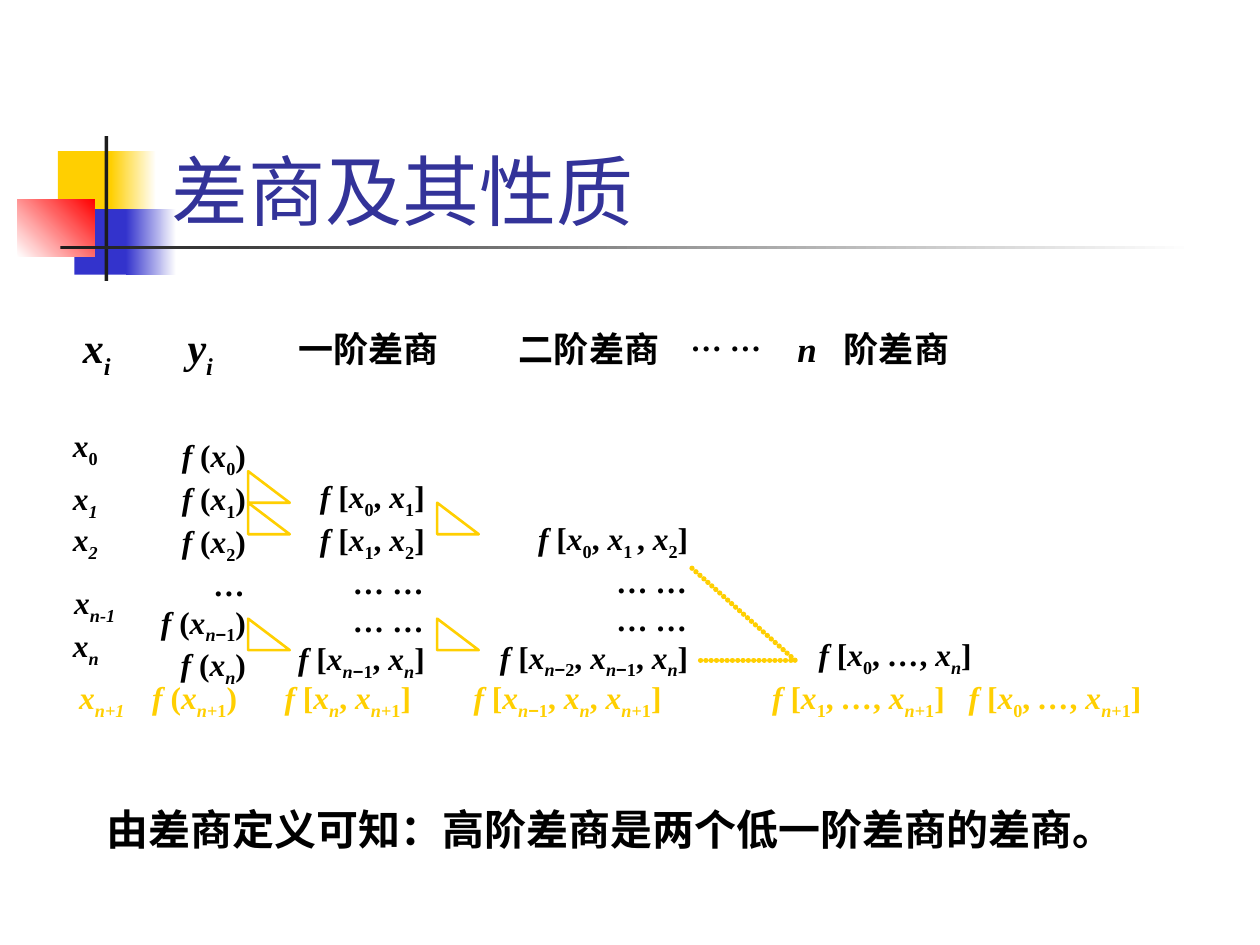
from pptx import Presentation
from pptx.dml.color import RGBColor
from pptx.enum.shapes import MSO_CONNECTOR, MSO_SHAPE
from pptx.enum.text import MSO_ANCHOR, PP_ALIGN
from pptx.oxml.ns import qn
from pptx.util import Inches, Pt
from lxml import etree

RECT, TRIANGLE = MSO_SHAPE.RECTANGLE, MSO_SHAPE.RIGHT_TRIANGLE
LEFT, RIGHT = PP_ALIGN.LEFT, PP_ALIGN.RIGHT
COLORS = {"yellow": "FFCF01", "blue": "3333CC", "red": "FF0000", "dark": "1C1C1C",
          "white": "FFFFFF", "black": "000000", "title": "333399"}
SERIF, SANS, CJK, TITLE_FONT = "Times New Roman", "Arial", "Noto Sans CJK SC", "Karla"

# Content: underscores enclose subscripts, tabs separate columns
TITLE = "差商及其性质"
STATEMENT = "由差商定义可知：高阶差商是两个低一阶差商的差商。"

# text, left, top, width, size
HEADERS = [
    ("x_i_", 0.56, 2.5, 0.6, 24),
    ("y_i_", 1.39, 2.5, 0.6, 24),
    ("一阶差商", 2.27, 2.55, 1.48, 20),
    ("二阶差商", 4.02, 2.55, 1.48, 20),
    ("… …", 5.39, 2.49, 0.8, 18),
]
ORDER_N, ORDER_N_TABS = "n\t阶差商", [0.37]

# text, left, top, slanted digits
NODES = [
    ("x_0_", 0.48, 3.33, False),
    ("x_1_", 0.48, 3.75, True),
    ("x_2_", 0.48, 4.08, True),
    ("x_n-1_", 0.49, 4.58, True),
    ("x_n_", 0.48, 4.92, True),
]
NODE_SIZE = (0.75, 0.44)

# left, top, width, height, lines
COLUMNS = [
    (0.97, 3.41, 1.08, 2.11, ["f (x_0_)", "f (x_1_)", "f (x_2_)", "…",
                              "f (x_n−1_)", "f (x_n_)"]),
    (1.97, 3.74, 1.5, 1.73, ["f [x_0_, x_1_]", "f [x_1_, x_2_]", "… …", "… …",
                             "f [x_n−1_, x_n_]"]),
    (3.39, 4.07, 2.17, 1.38, ["f [x_0_, x_1 _, x_2_]", "… …", "… …",
                              "f [x_n−2_, x_n−1_, x_n_]"]),
    (6.06, 4.99, 1.75, 0.44, ["f [x_0_, …, x_n_]"]),
]
NEW_NODE = "x_n+1_"
NEW_ROW = ["f (x_n+1_)", "f [x_n_, x_n+1_]", "f [x_n−1_, x_n_, x_n+1_]",
           "f [x_1_, …, x_n+1_]", "f [x_0_, …, x_n+1_]"]
NEW_ROW_TABS = [1.05, 2.55, 4.92, 6.48]

# Decoration: box, colour, end colour, angle
BLOCKS = [
    ((0.46, 1.2, 0.48, 0.52), "yellow", None, 0),
    ((0.88, 1.2, 0.36, 0.52), "yellow", "white", 0),
    ((0.59, 1.66, 0.46, 0.52), "blue", None, 0),
    ((1, 1.66, 0.4, 0.52), "blue", "white", 0),
    ((0.14, 1.58, 0.61, 0.46), "white", "red", 45),
    ((0.83, 1.08, 0.03, 1.15), "dark", None, 0),
    ((0.48, 1.95, 9, 0.03), "dark", "white", 0),
]
TRIANGLES = [(1.97, 3.74), (1.97, 3.99), (1.97, 4.91), (3.47, 4.91), (3.47, 3.99)]
DOTTED_LINES = [(5.56, 5.24, 6.31, 5.24), (6.31, 5.24, 5.47, 4.49)]


def rgb(name):
    return RGBColor.from_string(COLORS[name])


def inches(values):
    return [Inches(value) for value in values]


def set_font(run, size, color, font, bold):
    run.font.size, run.font.bold, run.font.name = Pt(size), bold, font
    run.font.color.rgb = rgb(color)
    east_asian = etree.SubElement(run.font._element, qn("a:ea"))
    east_asian.set("typeface", CJK)


def styled_pieces(markup, slanted):
    """Split markup into [text, italic, subscript, font] pieces."""
    pieces = []
    for index, part in enumerate(markup.split("_")):
        subscript = index % 2 == 1
        for char in part:
            italic = (char.isascii() and char.isalpha()) or char == "…"
            style = [italic or (slanted and subscript), subscript,
                     SANS if char == "−" else SERIF]
            if pieces and (pieces[-1][1:] == style or char == " "
                           and pieces[-1][2] == subscript):
                pieces[-1][0] += char
            else:
                pieces.append([char] + style)
    return pieces


def add_text(box, lines, size=18, color="black", align=LEFT, wrap=False,
             slanted=False, tabs=()):
    frame = slide.shapes.add_textbox(*inches(box)).text_frame
    frame.word_wrap = wrap
    for index, line in enumerate(lines):
        paragraph = frame.add_paragraph() if index else frame.paragraphs[0]
        paragraph.alignment = align
        if tabs:
            stops = etree.SubElement(paragraph._p.get_or_add_pPr(), qn("a:tabLst"))
            for stop in tabs:
                etree.SubElement(stops, qn("a:tab"), pos=str(Inches(stop)), algn="l")
        for text, italic, subscript, font in styled_pieces(line, slanted):
            run = paragraph.add_run()
            run.text = text
            set_font(run, size, color, font, True)
            run.font.italic = italic
            if subscript:
                drop = -30000 if size == 24 else -25000
                run.font._element.set("baseline", str(drop))


prs = Presentation()
prs.slide_width, prs.slide_height = Inches(10), Inches(7.5)
slide = prs.slides.add_slide(prs.slide_layouts[5])

# Decorative blocks and rules
for box, color, end_color, angle in BLOCKS:
    block = slide.shapes.add_shape(RECT, *inches(box))
    block.shadow.inherit = False
    block.line.fill.background()
    if end_color:
        block.fill.gradient()
        block.fill.gradient_angle = angle
        for stop, name in zip(block.fill.gradient_stops, (color, end_color)):
            stop.color.rgb = rgb(name)
    else:
        block.fill.solid()
        block.fill.fore_color.rgb = rgb(color)

# Title, in front of the blocks
title = slide.shapes.title
title.left, title.top, title.width, title.height = inches((1.26, 0.67, 8.52, 1.25))
title.text_frame.text = TITLE
title.text_frame.vertical_anchor = MSO_ANCHOR.BOTTOM
title.text_frame.paragraphs[0].alignment = LEFT
set_font(title.text_frame.paragraphs[0].runs[0], 44, "title", TITLE_FONT, False)
slide.shapes._spTree.append(title._element)

# Difference columns
for *box, lines in COLUMNS:
    add_text(box, lines, align=RIGHT, wrap=True)

# Triangles linking neighbouring entries
for left, top in TRIANGLES:
    triangle = slide.shapes.add_shape(TRIANGLE, *inches((left, top, 0.33, 0.25)))
    triangle.shadow.inherit = False
    triangle.fill.background()
    triangle.line.color.rgb = rgb("yellow")
    triangle.line.width = Pt(1.5)

# Closely dotted lines to the n-th order
for ends in DOTTED_LINES:
    dotted = slide.shapes.add_connector(MSO_CONNECTOR.STRAIGHT, *inches(ends))
    dotted.line.color.rgb = rgb("yellow")
    dotted.line.width = Pt(3)
    properties = dotted._element.spPr
    outline = properties.find(qn("a:ln"))
    outline.set("cap", "rnd")
    dashes = etree.SubElement(outline, qn("a:custDash"))
    etree.SubElement(dashes, qn("a:ds"), d="100000", sp="1000")
    etree.SubElement(properties, qn("a:effectLst"))

# Added row
add_text((0.53, 5.33, *NODE_SIZE), [NEW_NODE], color="yellow", slanted=True)
add_text((1.11, 5.33, 8.69, 0.44), ["\t".join(NEW_ROW)],
         color="yellow", wrap=True, tabs=NEW_ROW_TABS)

# Headers, nodes and statement
for text, left, top, width, size in HEADERS:
    add_text((left, top, width, 0.5), [text], size)
add_text((6.23, 2.55, 1.56, 0.5), [ORDER_N], 20, wrap=True, tabs=ORDER_N_TABS)
add_text((0.75, 6.33, 8.2, 0.5), [STATEMENT], 24)
for text, left, top, slanted in NODES:
    add_text((left, top, *NODE_SIZE), [text], slanted=slanted)

prs.save("out.pptx")
